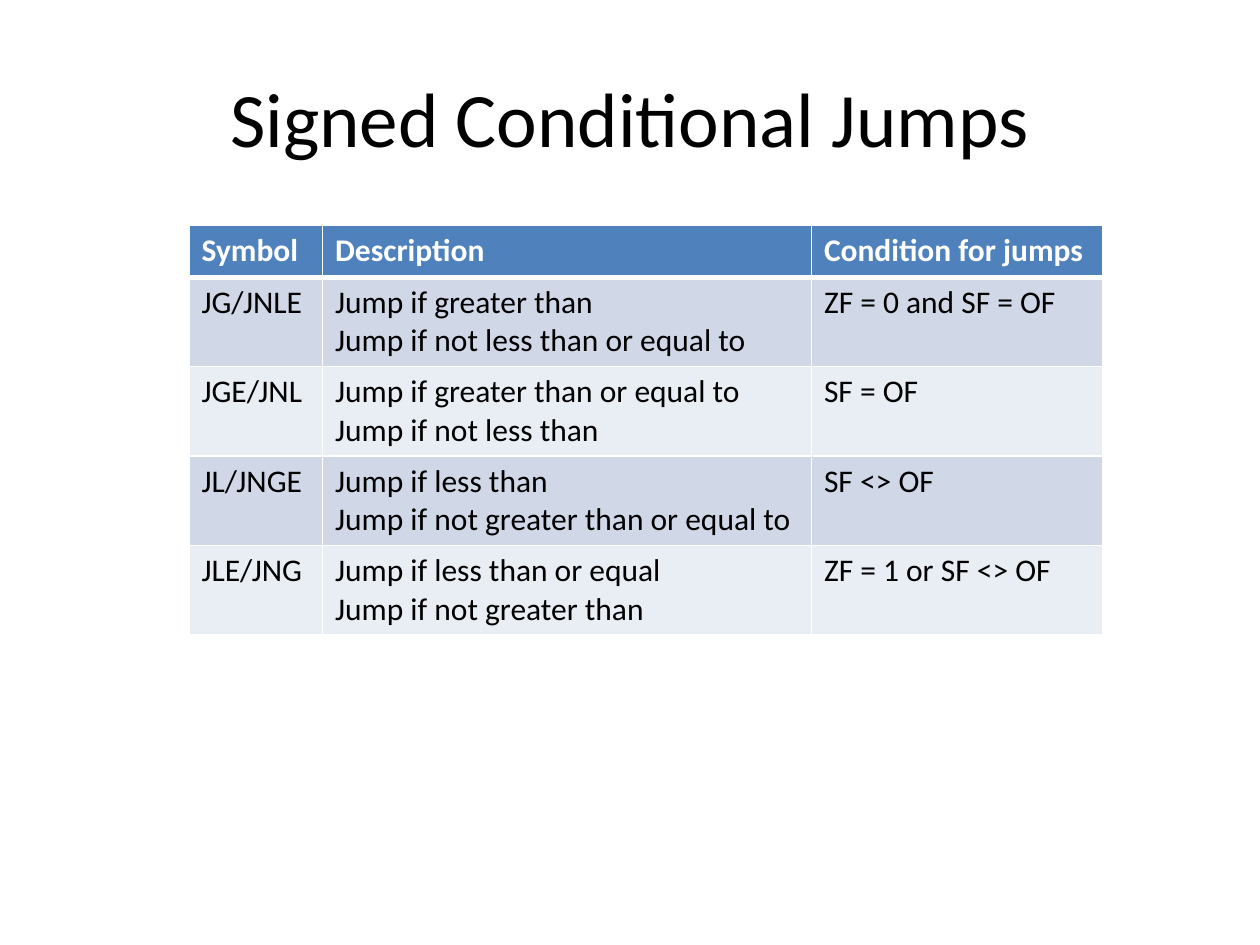
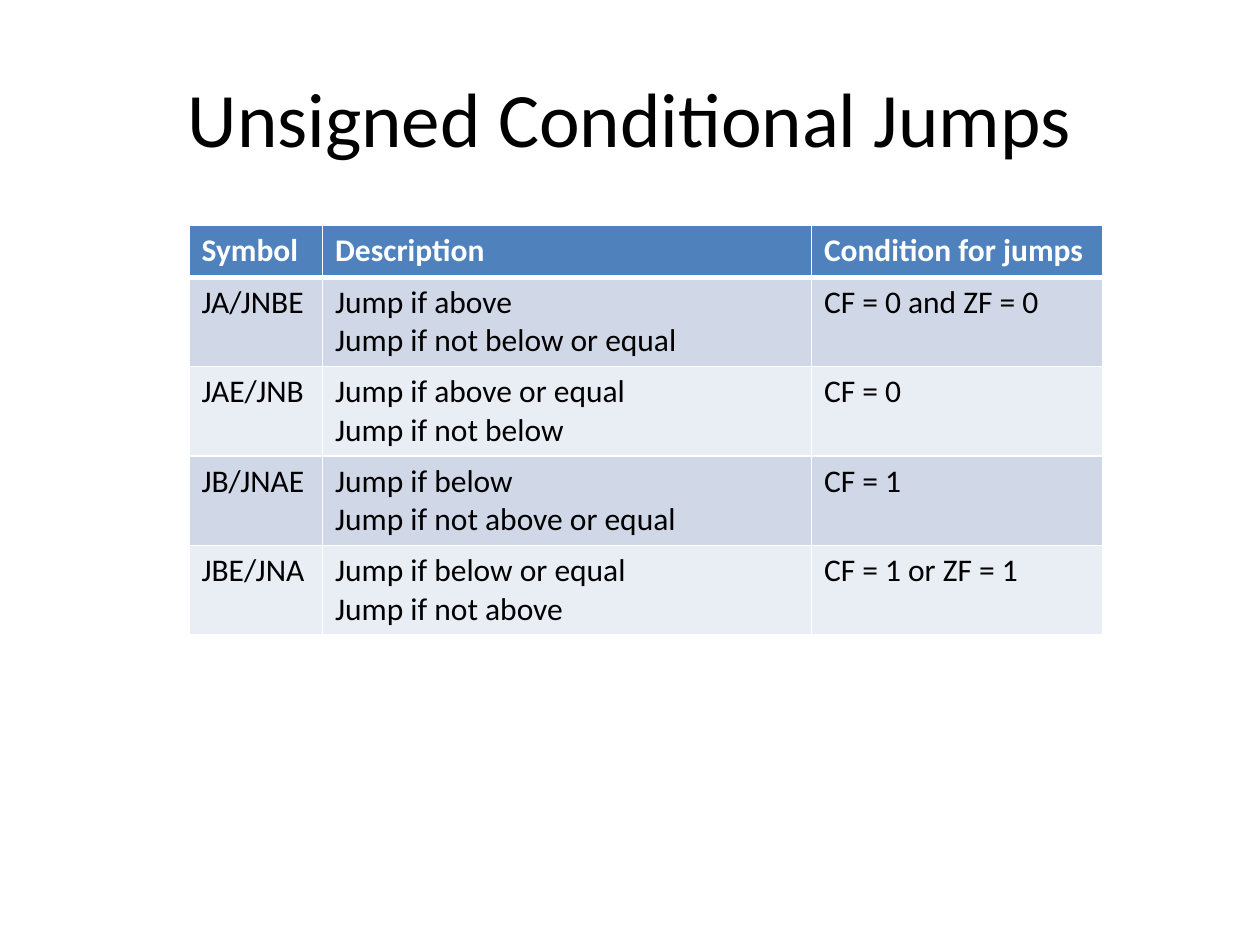
from lxml import etree
from pptx import Presentation
from pptx import util as u
from pptx.dml.color import RGBColor
from pptx.enum import text
from pptx.oxml.ns import qn

# Shared style
COLORS = {
    "background": "FFFFFF",
    "title": "000000",
    "header": "4F81BD",
    "header_text": "FFFFFF",
    "odd_row": "D0D8E8",
    "even_row": "E9EDF4",
    "body_text": "000000",
    "border": "FFFFFF",
}
FONT = "Calibri"
SLIDE_WIDTH, SLIDE_HEIGHT = 10, 7.5
TITLE_BOX = (0.05, 0.04, 0.9, 1 / 6)  # shares of the slide's size
TABLE_LEFT, TABLE_TOP = 1.5, 1.79
COLUMN_WIDTHS = (1.06, 3.88, 2.31)
HEADER_HEIGHT, ROW_HEIGHT = 0.41, 0.71
THIN, THICK = 1, 3

# Content
HEADINGS = ("Symbol", "Description", "Condition for jumps")
JUMP_TABLES = {
    "Signed Conditional Jumps": (
        ("JG/JNLE", "Jump if greater than\nJump if not less than or equal to", "ZF = 0 and SF = OF"),
        ("JGE/JNL", "Jump if greater than or equal to\nJump if not less than", "SF = OF"),
        ("JL/JNGE", "Jump if less than\nJump if not greater than or equal to", "SF <> OF"),
        ("JLE/JNG", "Jump if less than or equal\nJump if not greater than", "ZF = 1 or SF <> OF"),
    ),
    "Unsigned Conditional Jumps": (
        ("JA/JNBE", "Jump if above\nJump if not below or equal", "CF = 0 and ZF = 0"),
        ("JAE/JNB", "Jump if above or equal\nJump if not below", "CF = 0"),
        ("JB/JNAE", "Jump if below\nJump if not above or equal", "CF = 1"),
        ("JBE/JNA", "Jump if below or equal\nJump if not above", "CF = 1 or ZF = 1"),
    ),
}


def rgb(name):
    return RGBColor.from_string(COLORS[name])


def write_text(frame, content, *, size, color, bold=False, align=text.PP_ALIGN.LEFT):
    """Fill a text frame, one paragraph for each line of the content."""
    frame.text = content
    for paragraph in frame.paragraphs:
        paragraph.alignment = align
        font = paragraph.runs[0].font
        font.name, font.size, font.bold = FONT, u.Pt(size), bold
        font.color.rgb = rgb(color)


def add_title(slide, content):
    left, top, width, height = TITLE_BOX
    box = slide.shapes.add_textbox(
        u.Inches(left * SLIDE_WIDTH), u.Inches(top * SLIDE_HEIGHT),
        u.Inches(width * SLIDE_WIDTH), u.Inches(height * SLIDE_HEIGHT))
    frame = box.text_frame
    frame.word_wrap = True
    frame.vertical_anchor = text.MSO_ANCHOR.MIDDLE
    write_text(frame, content, size=44, color="title", align=text.PP_ALIGN.CENTER)


def set_borders(cell, *, top, bottom):
    properties = cell._tc.get_or_add_tcPr()
    for side, width in (("L", THIN), ("R", THIN), ("T", top), ("B", bottom)):
        line = etree.SubElement(properties, qn(f"a:ln{side}"), w=str(u.Pt(width)))
        fill = etree.SubElement(line, qn("a:solidFill"))
        etree.SubElement(fill, qn("a:srgbClr"), val=COLORS["border"])


def format_cell(cell, content, row):
    is_header = row == 0
    # Borders come before the fill in the cell's properties
    set_borders(cell, top=THICK if row == 1 else THIN, bottom=THICK if is_header else THIN)
    cell.fill.solid()
    band = "odd_row" if row % 2 else "even_row"
    cell.fill.fore_color.rgb = rgb("header" if is_header else band)
    write_text(cell.text_frame, content, size=18, bold=is_header,
               color="header_text" if is_header else "body_text")


def add_jump_table(slide, jumps):
    rows = (HEADINGS, *jumps)
    height = HEADER_HEIGHT + ROW_HEIGHT * len(jumps)
    table = slide.shapes.add_table(
        len(rows), len(HEADINGS), u.Inches(TABLE_LEFT), u.Inches(TABLE_TOP),
        u.Inches(sum(COLUMN_WIDTHS)), u.Inches(height)).table
    for column, width in zip(table.columns, COLUMN_WIDTHS):
        column.width = u.Inches(width)
    for row, contents in enumerate(rows):
        table.rows[row].height = u.Inches(ROW_HEIGHT if row else HEADER_HEIGHT)
        for column, content in enumerate(contents):
            format_cell(table.cell(row, column), content, row)


def main():
    presentation = Presentation()
    presentation.slide_width = u.Inches(SLIDE_WIDTH)
    presentation.slide_height = u.Inches(SLIDE_HEIGHT)
    for title, jumps in JUMP_TABLES.items():
        slide = presentation.slides.add_slide(presentation.slide_layouts[6])
        slide.background.fill.solid()
        slide.background.fill.fore_color.rgb = rgb("background")
        add_title(slide, title)
        add_jump_table(slide, jumps)
    presentation.save("out.pptx")


if __name__ == "__main__":
    main()
